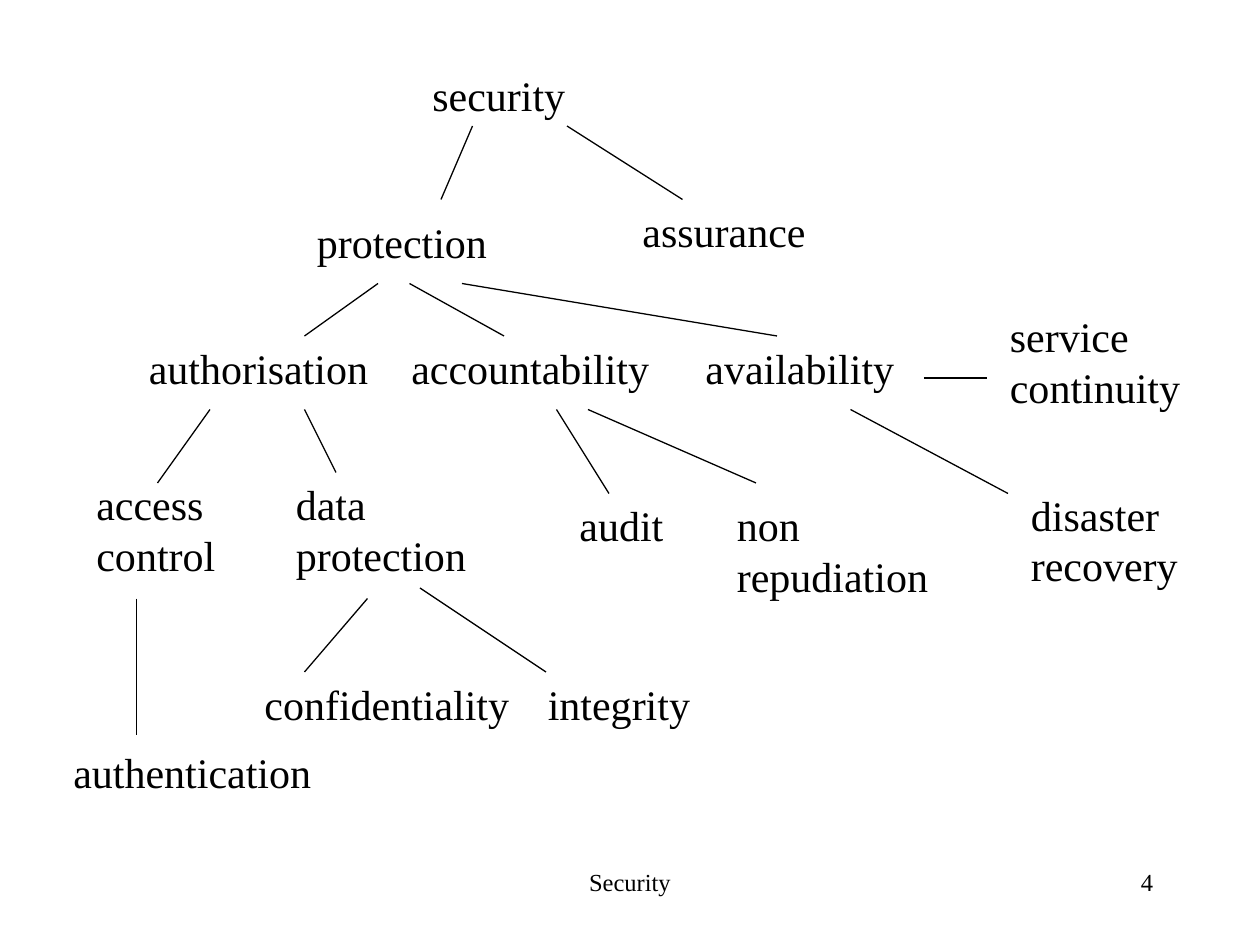
from lxml.etree import SubElement
from pptx import Presentation
from pptx.dml.color import RGBColor
from pptx.enum.shapes import MSO_CONNECTOR as Connector
from pptx.enum.text import MSO_AUTO_SIZE as AutoSize, PP_ALIGN as Align
from pptx.oxml.ns import qn
from pptx.util import Cm, Pt

UNIT = 2.54 / 12
ONE_LINE, TWO_LINES = 6, 10.8
BLACK = "000000"

TERMS = [
    ("security", 40, 6, 19, ONE_LINE),
    ("protection", 29, 20, 19, ONE_LINE),
    ("assurance", 60, 19, 26, ONE_LINE),
    ("authorisation", 13, 32, 24, ONE_LINE),
    ("accountability", 38, 32, 27, ONE_LINE),
    ("availability", 66, 32, 27, ONE_LINE),
    ("access control", 8, 45, 16, TWO_LINES),
    ("data protection", 27, 45, 19, TWO_LINES),
    ("confidentiality", 24, 64, 27, ONE_LINE),
    ("integrity", 51, 64, 17, ONE_LINE),
    ("audit", 54, 47, 14, ONE_LINE),
    ("non repudiation", 69, 47, 24, TWO_LINES),
    ("service continuity", 95, 29, 20, TWO_LINES),
    ("disaster recovery", 97, 46, 20, TWO_LINES),
]
BRANCHES = [
    (45, 12, 42, 19), (54, 12, 65, 19),
    (36, 27, 29, 32), (39, 27, 48, 32), (44, 27, 74, 32),
    (20, 39, 15, 46), (29, 39, 32, 45),
    (35, 57, 29, 64), (40, 56, 52, 64),
    (53, 39, 58, 47), (56, 39, 72, 46),
    (88, 36, 94, 36), (81, 39, 96, 47),
    (13, 57, 13, 70),
]


def units(value):
    return Cm(value * UNIT)


def colour(value):
    return RGBColor.from_string(value)


def apply(target, values):
    for name, value in values.items():
        setattr(target, name, value)


def add_text(page, text, left, top, width, height, size, para_format, frame_format):
    box = page.shapes.add_textbox(*map(units, (left, top, width, height)))
    apply(box.text_frame, {"word_wrap": True, **frame_format})
    para = box.text_frame.paragraphs[0]
    apply(para, para_format)
    span = para.add_run()
    span.text = text
    apply(span.font, {"name": "Times New Roman", "size": Pt(size)})
    span.font.color.rgb = colour(BLACK)


def add_branch(page, *ends):
    branch = page.shapes.add_connector(Connector.STRAIGHT, *map(units, ends))
    branch.line.color.rgb = colour(BLACK)
    branch.line.width = Pt(0.75)
    SubElement(branch._element.spPr, qn("a:effectLst"))


def draw_tree(page, left, top):
    grow = {"auto_size": AutoSize.SHAPE_TO_FIT_TEXT}
    for text, x, y, width, height in TERMS:
        add_text(page, text, left + x, top + y, width, height, 24,
                 {"space_before": Pt(12)}, grow)
    add_text(page, "authentication", left + 5.8, top + 70.5, 25.3, ONE_LINE, 24,
             {}, {**grow, "word_wrap": False})
    for x1, y1, x2, y2 in BRANCHES:
        add_branch(page, left + x1, top + y1, left + x2, top + y2)


def draw_footer(page, left, top, width, height):
    for text, x, part, align in [
        ("Security", 0, 38, Align.CENTER),
        ("4", width - 25, 25, Align.RIGHT),
    ]:
        add_text(page, text, left + x, top, part, height, 14, {"alignment": align}, {})


def main():
    deck = Presentation()
    apply(deck, {"slide_width": units(120), "slide_height": units(90)})
    page = deck.slides.add_slide(deck.slide_layouts[6])
    draw_footer(page, 41, 82, 70, 6)
    draw_tree(page, 0, 0)
    deck.save("out.pptx")


if __name__ == "__main__":
    main()
